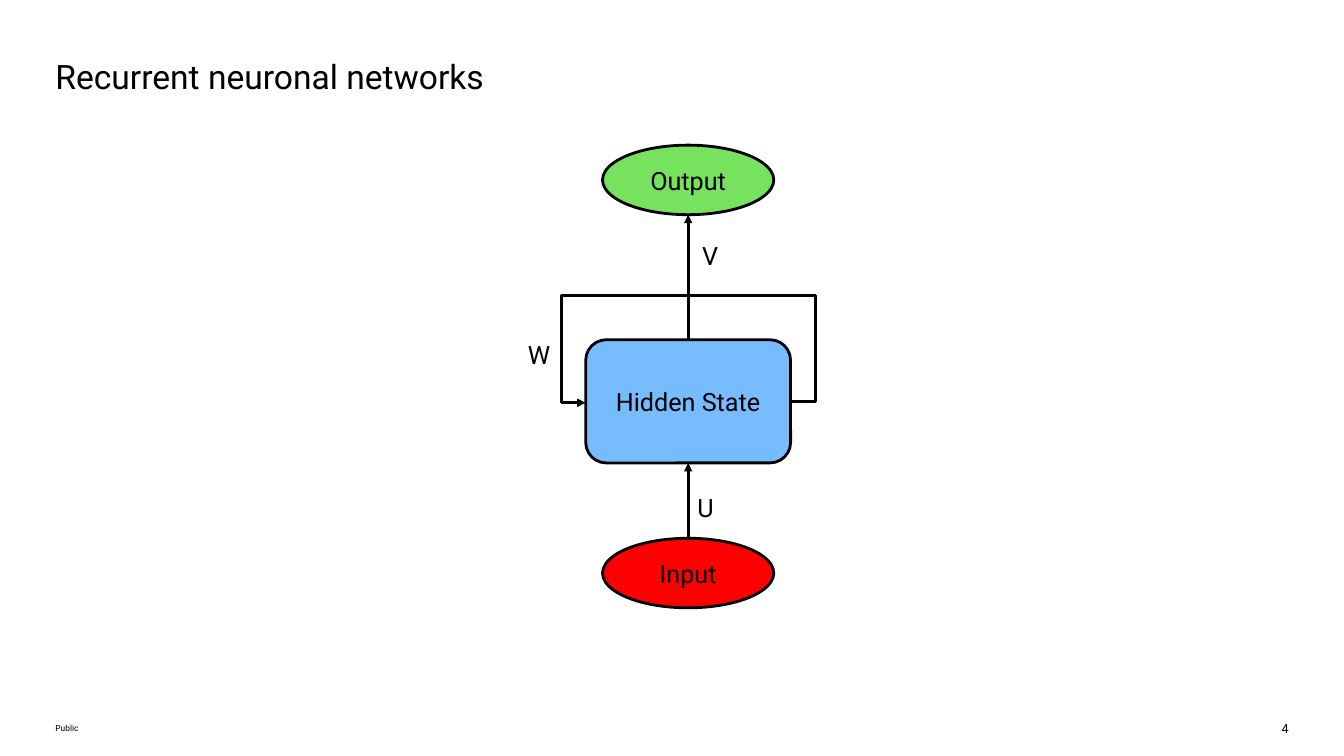
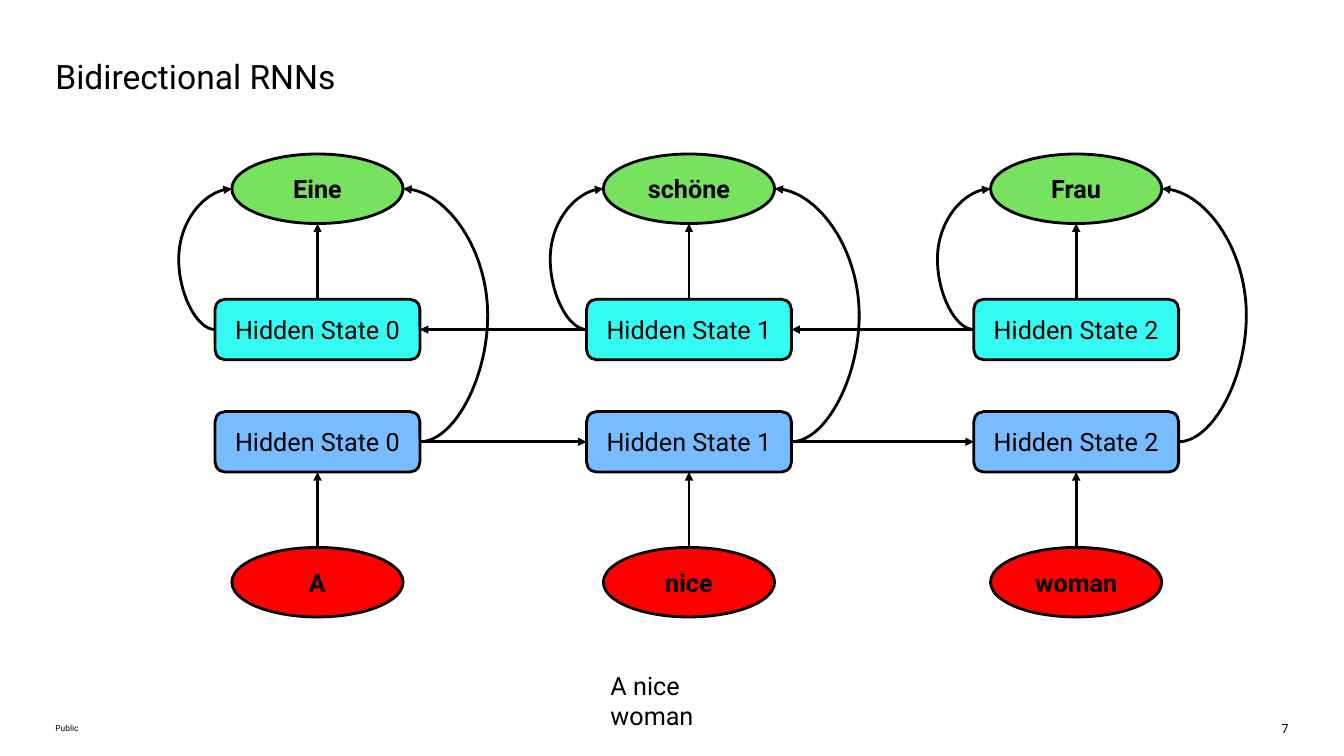
import pptx
import pptx.util
import pptx.dml.color
import pptx.enum.shapes
import pptx.enum.text
import pptx.oxml
import pptx.oxml.ns

Pt = pptx.util.Pt
KIND = pptx.enum.shapes.MSO_SHAPE
LINK = pptx.enum.shapes.MSO_CONNECTOR
ALIGN = pptx.enum.text.PP_ALIGN
MID = pptx.enum.text.MSO_ANCHOR.MIDDLE
TOP = pptx.enum.text.MSO_ANCHOR.TOP

HUES = {"ink": "000000", "page": "FFFFFF", "in": "FF0000", "out": "76E25D",
        "state": "76BCFF", "back": "34FAF4"}
BODY = {"name": "Roboto", "size": Pt(18), "bold": False}
BOLD = {**BODY, "bold": True}
TITLE = {**BODY, "size": Pt(24)}
FOOT = {**BODY, "size": Pt(6)}
PAGE = {**BODY, "size": Pt(9)}
FLAT = {"margin_left": 0, "margin_top": 0, "margin_right": 0, "margin_bottom": 0,
        "word_wrap": True, "vertical_anchor": TOP}
INSET = {"margin_left": Pt(7.2), "margin_top": Pt(5.8), "margin_right": Pt(7.2),
         "margin_bottom": Pt(5.8), "word_wrap": True, "vertical_anchor": MID}
OVAL = (122.4, 49.7)


def put(item, values):
    """Set each attribute named in a dict."""
    for name, value in values.items():
        setattr(item, name, value)


def hue(name):
    """Return a named colour."""
    return pptx.dml.color.RGBColor.from_string(HUES[name])


def write(shape, text, font, frame, align):
    """Fill a shape with one styled paragraph."""
    put(shape.text_frame, frame)
    line = shape.text_frame.paragraphs[0]
    line.text = text
    line.alignment = align
    put(line.font, font)
    line.font.color.rgb = hue("ink")


def label(slide, text, box, font=BODY, align=ALIGN.LEFT, **frame):
    """Place plain text in a box."""
    area = slide.shapes.add_textbox(*map(Pt, box))
    write(area, text, font, {**FLAT, **frame}, align)


def node(slide, kind, text, mid, top, size, fill, font=BODY):
    """Draw an outlined shape centred on mid."""
    wide, high = size
    shape = slide.shapes.add_shape(kind, Pt(mid - wide / 2), Pt(top), Pt(wide), Pt(high))
    shape.shadow.inherit = False
    shape.fill.solid()
    shape.fill.fore_color.rgb = hue(fill)
    shape.line.color.rgb = hue("ink")
    shape.line.width = Pt(2)
    write(shape, text, font, INSET, ALIGN.CENTER)
    return shape


def port(shape, side):
    """Return the middle of one side of a shape."""
    across, down = {"l": (0, 1), "r": (2, 1), "t": (1, 0), "b": (1, 2)}[side]
    return (shape.left + shape.width * across // 2,
            shape.top + shape.height * down // 2)


def arrow(slide, start, end, kind=LINK.STRAIGHT, preset=None, bends=()):
    """Join two points with an arrow, bent as the ratios say."""
    link = slide.shapes.add_connector(kind, *start, *end)
    link.line.color.rgb = hue("ink")
    link.line.width = Pt(2)
    add = pptx.oxml.ns.qn
    props = link._element.spPr
    tip = props.find(add("a:ln")).makeelement(
        add("a:tailEnd"), {"type": "triangle", "w": "med", "len": "med"})
    props.find(add("a:ln")).append(tip)
    props.append(props.makeelement(add("a:effectLst"), {}))
    shape = props.find(add("a:prstGeom"))
    if preset:
        shape.set("prst", preset)
    guides = shape.get_or_add_avLst()
    for count, bend in enumerate(bends, 1):
        guides.append(guides.makeelement(add("a:gd"), {
            "name": f"adj{count}", "fmla": f"val {round(bend * 100000)}"}))


def curve(slide, start, end, reach):
    """Arch an arrow sideways by reach from its start."""
    arrow(slide, start, end, LINK.CURVE, "curvedConnector3",
          [reach / (end[0] - start[0])])


def base(deck, title, page):
    """Add a slide with the shared title and footer."""
    slide = deck.slides.add_slide(deck.slide_layouts[6])
    slide.background.fill.solid()
    slide.background.fill.fore_color.rgb = hue("page")
    label(slide, title, (39.6, 39.6, 880.6, 28.8), TITLE)
    label(slide, "Public", (39.6, 514.8, 800, 10.8), FOOT, vertical_anchor=MID)
    label(slide, page, (901, 514.8, 20, 10.8), PAGE, ALIGN.RIGHT)
    return slide


def loop(slide, left, top):
    """Draw a single recurrent cell with its three weights."""
    mid = left + 114.5
    out = node(slide, KIND.OVAL, "Output", mid, top, OVAL, "out")
    state = node(slide, KIND.ROUNDED_RECTANGLE, "Hidden State", mid, top + 139,
                 (146.4, 88), "state")
    feed = node(slide, KIND.OVAL, "Input", mid, top + 280.8, OVAL, "in")
    arrow(slide, port(feed, "t"), port(state, "b"))
    arrow(slide, port(state, "t"), port(out, "b"))
    start, (tip, level) = port(state, "r"), port(state, "l")
    arrow(slide, start, (tip, level + Pt(1)), LINK.ELBOW, "bentConnector5",
          [-0.12, -76.2, 1.12])
    for text, right, down in (("V", 124.5, 67.7), ("W", 0, 139), ("U", 121, 247.7)):
        label(slide, text, (left + right, top + down, 18, 21.6), word_wrap=False)


def column(slide, mid, top, step, source, target):
    """Draw one time step and return its two states."""
    size = (146.4, 43.2)
    name = f"Hidden State {step}"
    out = node(slide, KIND.OVAL, target, mid, top, OVAL, "out", BOLD)
    back = node(slide, KIND.ROUNDED_RECTANGLE, name, mid, top + 103.8, size, "back")
    state = node(slide, KIND.ROUNDED_RECTANGLE, name, mid, top + 184, size, "state")
    feed = node(slide, KIND.OVAL, source, mid, top + 281, OVAL, "in", BOLD)
    arrow(slide, port(feed, "t"), port(state, "b"))
    arrow(slide, port(back, "t"), port(out, "b"))
    curve(slide, port(back, "l"), port(out, "l"), Pt(-26))
    curve(slide, port(state, "r"), port(out, "r"), Pt(48.5))
    return back, state


def chain(slide, left, top):
    """Draw the time steps and link their states both ways."""
    words = (("A", "Eine", 73), ("nice", "schöne", 338.5), ("woman", "Frau", 615.2))
    steps = [column(slide, left + mid, top, step, source, target)
             for step, (source, target, mid) in enumerate(words)]
    for (back, state), (late, after) in zip(steps, steps[1:]):
        arrow(slide, port(state, "r"), port(after, "l"))
        arrow(slide, port(late, "l"), port(back, "r"))
    label(slide, "A nice woman", (left + 282.4, top + 368.8, 100, 43.2))


def main():
    """Build and save the deck."""
    deck = pptx.Presentation()
    put(deck, {"slide_width": Pt(960.5), "slide_height": Pt(540)})
    loop(base(deck, "Recurrent neuronal networks", "4"), 377.3, 103.7)
    chain(base(deck, "Bidirectional RNNs", "7"), 153.9, 110)
    deck.save("out.pptx")


if __name__ == "__main__":
    main()
